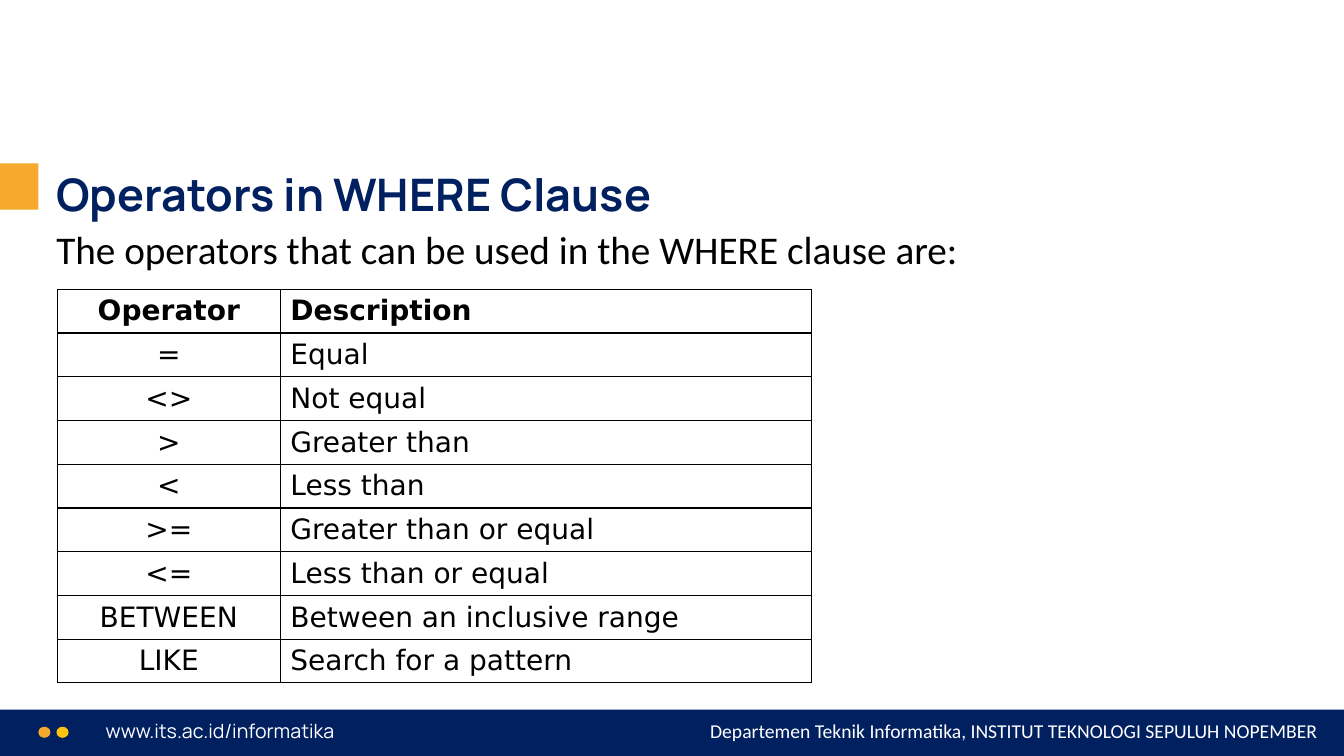
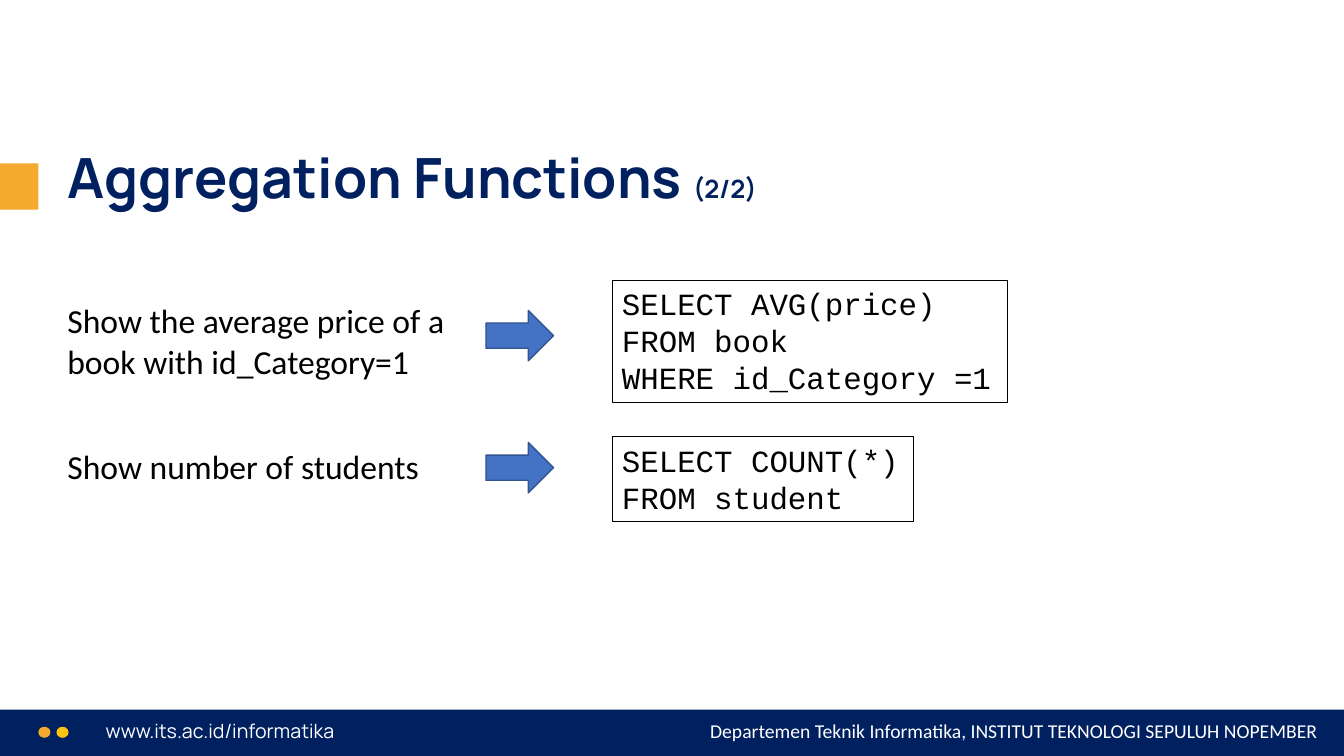
"""Build two SQL lecture slides: WHERE operators and aggregation functions."""
import pptx
import pptx.dml.color
import pptx.enum.shapes
import pptx.enum.text
import pptx.oxml
import pptx.oxml.ns
import pptx.util

Inches = pptx.util.Inches
Shape = pptx.enum.shapes.MSO_SHAPE
Align = pptx.enum.text.PP_ALIGN
Anchor = pptx.enum.text.MSO_ANCHOR


class Theme:
    navy, orange, yellow = "002060", "F5AA2D", "FFC411"
    white, black = "FFFFFF", "000000"
    arrow_fill, arrow_line = "4472C4", "325491"
    heading_font, body_font = "Manrope", "Calibri"
    table_font, code_font = "DejaVu Sans", "Courier New"
    footer, page_mark, table, code, prompt, lead = 14, 18, 20, 22, 24, 28


FOOTER_SITE = "www.its.ac.id/informatika"
FOOTER_OWNER = "Departemen Teknik Informatika, INSTITUT TEKNOLOGI SEPULUH NOPEMBER"

OPERATORS_TITLE = [("Operators in WHERE Clause", 32)]
OPERATORS_LEAD = "The operators that can be used in the WHERE clause are:"
OPERATORS = [
    ("Operator", "Description"),
    ("=", "Equal"),
    ("<>", "Not equal"),
    (">", "Greater than"),
    ("<", "Less than"),
    (">=", "Greater than or equal"),
    ("<=", "Less than or equal"),
    ("BETWEEN", "Between an inclusive range"),
    ("LIKE", "Search for a pattern"),
]
COLUMN_WIDTHS = (2.21, 5.27)

AGGREGATION_TITLE = [("Aggregation Functions ", 39.6), ("(2/2)", Theme.page_mark)]
QUERIES = [
    {
        "prompt": "Show the average price of a book with id_Category=1",
        "prompt_area": (0.57, 2.93, 4.33, 0.91),
        "arrow_top": 3.08,
        "code": ["SELECT AVG(price)", "FROM book", "WHERE id_Category =1"],
        "code_area": (6.07, 2.78, 3.92, 1.21),
    },
    {
        "prompt": "Show number of students",
        "prompt_area": (0.57, 4.37, 3.72, 0.5),
        "arrow_top": 4.39,
        "code": ["SELECT COUNT(*)", "FROM student"],
        "code_area": (6.07, 4.33, 2.99, 0.84),
    },
]


def rgb(color):
    return pptx.dml.color.RGBColor.from_string(color)


def add_span(para, text, size, font, color=Theme.black, bold=False):
    span = para.add_run()
    span.text = text
    span.font.size = pptx.util.Pt(size)
    span.font.name = font
    span.font.bold = bold
    span.font.color.rgb = rgb(color)


def add_text(page, area, lines, size, font, color=Theme.black, align=Align.LEFT):
    box = page.shapes.add_textbox(*map(Inches, area))
    frame = box.text_frame
    frame.word_wrap = True
    for index, line in enumerate(lines):
        para = frame.add_paragraph() if index else frame.paragraphs[0]
        para.alignment = align
        add_span(para, line, size, font, color)
    return box


def add_block(page, kind, area, fill, line=None):
    block = page.shapes.add_shape(kind, *map(Inches, area))
    block.shadow.inherit = False
    block.fill.solid()
    block.fill.fore_color.rgb = rgb(fill)
    if line:
        block.line.color.rgb = rgb(line)
        block.line.width = pptx.util.Pt(1)
    else:
        block.line.fill.background()


def add_page(deck, title, title_area):
    page = deck.slides.add_slide(deck.slide_layouts[6])
    add_block(page, Shape.RECTANGLE, (-0.16, 7.04, 13.65, 0.46), Theme.navy)
    add_text(page, (0.95, 7.08, 4.28, 0.34), [FOOTER_SITE],
             Theme.footer, Theme.heading_font, Theme.white)
    for left, color in ((0.38, Theme.orange), (0.56, Theme.yellow)):
        add_block(page, Shape.OVAL, (left, 7.21, 0.12, 0.11), color)
    add_text(page, (5.91, 7.08, 7.26, 0.34), [FOOTER_OWNER],
             Theme.footer, Theme.body_font, Theme.white, Align.RIGHT)
    add_block(page, Shape.RECTANGLE, (0, 1.62, 0.38, 0.46), Theme.orange)

    frame = page.shapes.add_textbox(*map(Inches, title_area)).text_frame
    frame.word_wrap = True
    frame.vertical_anchor = Anchor.BOTTOM
    frame.paragraphs[0].line_spacing = 0.9
    for text, size in title:
        add_span(frame.paragraphs[0], text, size, Theme.heading_font, Theme.navy, True)
    return page


def add_borders(cell):
    properties = cell._tc.get_or_add_tcPr()
    for index, side in enumerate(("lnL", "lnR", "lnT", "lnB")):
        properties.insert(index, pptx.oxml.parse_xml(
            f'<a:{side} {pptx.oxml.ns.nsdecls("a")} w="12700"><a:solidFill>'
            f'<a:srgbClr val="{Theme.black}"/></a:solidFill></a:{side}>'))


def add_operator_table(page):
    table = page.shapes.add_table(
        len(OPERATORS), len(COLUMN_WIDTHS), Inches(0.57), Inches(2.87),
        Inches(sum(COLUMN_WIDTHS)), Inches(3.83)).table
    table.horz_banding = False
    for column, width in zip(table.columns, COLUMN_WIDTHS):
        column.width = Inches(width)
    for row, texts in enumerate(OPERATORS):
        for column, text in enumerate(texts):
            cell = table.cell(row, column)
            cell.fill.background()
            cell.vertical_anchor = Anchor.MIDDLE
            para = cell.text_frame.paragraphs[0]
            para.alignment = Align.LEFT if column else Align.CENTER
            add_span(para, text, Theme.table, Theme.table_font, bold=row == 0)
            add_borders(cell)


def add_query(page, query):
    add_text(page, query["prompt_area"], [query["prompt"]], Theme.prompt, Theme.body_font)
    add_block(page, Shape.RIGHT_ARROW, (4.82, query["arrow_top"], 0.67, 0.5),
              Theme.arrow_fill, Theme.arrow_line)
    box = add_text(page, query["code_area"], query["code"], Theme.code, Theme.code_font)
    box.line.color.rgb = rgb(Theme.black)
    box.line.width = pptx.util.Pt(0.75)


def main():
    deck = pptx.Presentation()
    deck.slide_width, deck.slide_height = Inches(13.33), Inches(7.5)

    page = add_page(deck, OPERATORS_TITLE, (0.46, 1.72, 9.15, 0.52))
    lead = add_text(page, (0.46, 2.24, 10.71, 0.52), [OPERATORS_LEAD],
                    Theme.lead, Theme.body_font)
    lead.text_frame.paragraphs[0].line_spacing = 0.9
    add_operator_table(page)

    page = add_page(deck, AGGREGATION_TITLE, (0.57, 1.41, 11.08, 0.73))
    for query in QUERIES:
        add_query(page, query)

    deck.save("out.pptx")


if __name__ == "__main__":
    main()
